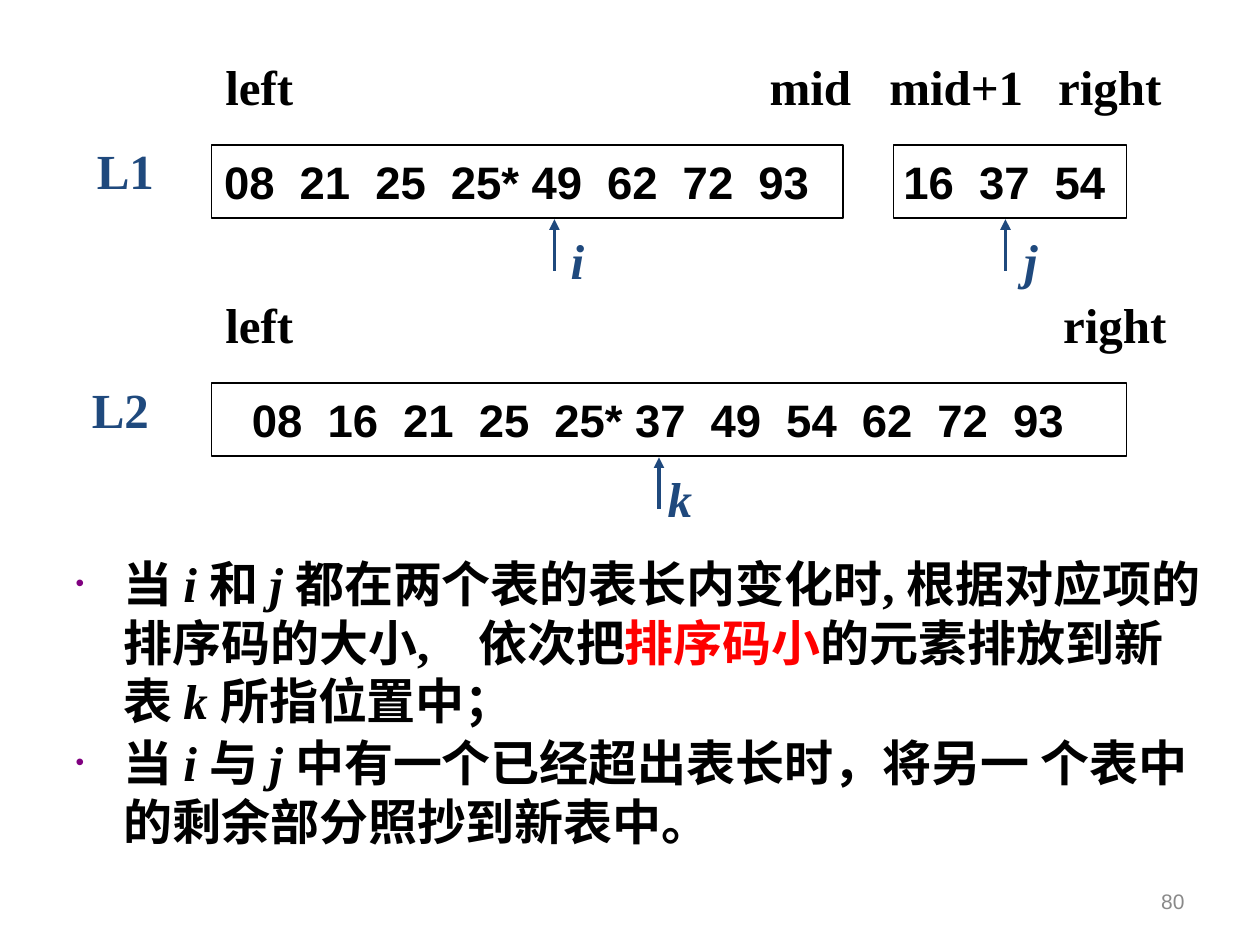
from dataclasses import dataclass

from pptx import Presentation
from pptx.dml.color import RGBColor
from pptx.enum import shapes, text
from pptx.oxml import ns, xmlchemy
from pptx.util import Inches, Pt


@dataclass(frozen=True)
class Theme:
    ink: str = "000000"
    blue: str = "1F497D"
    red: str = "FF0000"
    bullet: str = "800080"
    grey: str = "898989"
    paper: str = "FFFFFF"
    serif: str = "Times New Roman"
    sans: str = "Arial"
    text_size: float = 28
    value_size: float = 26
    number_size: float = 12


@dataclass(frozen=True)
class Label:
    wording: str
    left: float
    top: float
    width: float
    color: str
    italic: bool = False


@dataclass(frozen=True)
class ListBox:
    values: tuple[str, ...]
    left: float
    top: float
    width: float
    inset: float


@dataclass(frozen=True)
class Pointer:
    x: float
    tip: float


@dataclass(frozen=True)
class Part:
    wording: str
    italic: bool = False
    color: str = Theme.ink


THEME = Theme()
BOX_HEIGHT = 0.58
VALUE_PITCH = 0.6
STAR_EXTRA = 0.04

LABELS = [
    Label("left", 1.69, 0.4, 0.8, THEME.ink),
    Label("mid", 6.01, 0.4, 0.85, THEME.ink),
    Label("mid+1", 6.96, 0.4, 1.27, THEME.ink),
    Label("right", 8.3, 0.4, 1.03, THEME.ink),
    Label("L1", 0.67, 1.07, 0.65, THEME.blue),
    Label("i", 4.43, 1.78, 0.4, THEME.blue, True),
    Label("j", 8.03, 1.78, 0.4, THEME.blue, True),
    Label("left", 1.69, 2.29, 0.8, THEME.ink),
    Label("right", 8.34, 2.29, 1.03, THEME.ink),
    Label("L2", 0.63, 2.96, 0.65, THEME.blue),
    Label("k", 5.2, 3.67, 0.39, THEME.blue, True),
]
LISTS = [
    ListBox(("08", "21", "25", "25*", "49", "62", "72", "93"), 1.68, 1.15, 5.01, 0.1),
    ListBox(("16", "37", "54"), 7.09, 1.15, 1.85, 0.08),
    ListBox(("08", "16", "21", "25", "25*", "37", "49", "54", "62", "72", "93"),
            1.68, 3.04, 7.26, 0.32),
]
POINTERS = [Pointer(4.4, 1.74), Pointer(7.98, 1.74), Pointer(5.23, 3.63)]
RULES = [
    [Part("当 "), Part("i ", True), Part("和 "), Part("j ", True),
     Part("都在两个表的表长内变化时, 根据对应项的排序码的大小,　依次把"),
     Part("排序码小", color=THEME.red), Part("的元素排放到新表 "),
     Part("k ", True), Part("所指位置中；")],
    [Part("当 "), Part("i ", True), Part("与 "), Part("j ", True),
     Part("中有一个已经超出表长时，将另一 个表中的剩余部分照抄到新表中。")],
]


def add_span(para, wording: str, size: float, face: str, color: str,
             bold: bool = True, italic: bool = False) -> None:
    span = para.add_run()
    span.text = wording
    formats = {"size": Pt(size), "name": face, "bold": bold, "italic": italic}
    for name, value in formats.items():
        setattr(span.font, name, value)
    span.font.color.rgb = RGBColor.from_string(color)


def add_child(parent, tag: str, **attributes: str):
    child = xmlchemy.OxmlElement(tag)
    for name, value in attributes.items():
        child.set(name, value)
    parent.append(child)
    return child


def draw_label(page, label: Label) -> None:
    box = page.shapes.add_textbox(Inches(label.left), Inches(label.top),
                                  Inches(label.width), Inches(0.57))
    box.text_frame.word_wrap = False
    add_span(box.text_frame.paragraphs[0], label.wording, THEME.text_size,
             THEME.serif, label.color, italic=label.italic)


def draw_list(page, item: ListBox) -> None:
    box = page.shapes.add_shape(shapes.MSO_SHAPE.RECTANGLE, Inches(item.left),
                                Inches(item.top), Inches(item.width), Inches(BOX_HEIGHT))
    box.shadow.inherit = False
    box.fill.solid()
    box.fill.fore_color.rgb = RGBColor.from_string(THEME.paper)
    box.line.color.rgb = RGBColor.from_string(THEME.ink)
    box.line.width = Pt(0.75)
    formats = {"word_wrap": True, "margin_left": Inches(item.inset), "margin_right": 0,
               "vertical_anchor": text.MSO_ANCHOR.MIDDLE}
    for name, value in formats.items():
        setattr(box.text_frame, name, value)
    para = box.text_frame.paragraphs[0]
    para.alignment = text.PP_ALIGN.LEFT
    add_span(para, "\t".join(item.values), THEME.value_size, THEME.sans, THEME.ink)
    stops = add_child(para._p.get_or_add_pPr(), "a:tabLst")
    for index in range(1, len(item.values)):
        starred = any("*" in value for value in item.values[:index])
        position = index * VALUE_PITCH + STAR_EXTRA * starred
        add_child(stops, "a:tab", pos=str(Inches(position)), algn="l")


def draw_pointer(page, pointer: Pointer) -> None:
    arrow = page.shapes.add_connector(
        shapes.MSO_CONNECTOR.STRAIGHT, Inches(pointer.x), Inches(pointer.tip + 0.41),
        Inches(pointer.x), Inches(pointer.tip))
    arrow.line.color.rgb = RGBColor.from_string(THEME.blue)
    arrow.line.width = Pt(2)
    properties = arrow._element.spPr
    add_child(properties.find(ns.qn("a:ln")), "a:tailEnd", type="triangle")
    add_child(properties, "a:effectLst")


def draw_rules(body) -> None:
    place = {"left": 0.5, "top": 4.34, "width": 9.15, "height": 2.92}
    for name, value in place.items():
        setattr(body, name, Inches(value))
    frame = body.text_frame
    frame.auto_size = text.MSO_AUTO_SIZE.NONE
    for index, parts in enumerate(RULES):
        para = frame.add_paragraph() if index else frame.paragraphs[0]
        para.space_before = Pt(1.8)
        properties = para._p.get_or_add_pPr()
        properties.set("marL", str(Inches(0.38)))
        properties.set("indent", str(-Inches(0.38)))
        color = add_child(properties, "a:buClr")
        add_child(color, "a:srgbClr", val=THEME.bullet)
        add_child(properties, "a:buSzPct", val="50000")
        add_child(properties, "a:buChar", char="•")
        for part in parts:
            add_span(para, part.wording, THEME.text_size, THEME.serif,
                     part.color, italic=part.italic)


def draw_page_number(page, number: str) -> None:
    box = page.shapes.add_textbox(Inches(7.17), Inches(6.95), Inches(2.33), Inches(0.4))
    box.text_frame.word_wrap = True
    box.text_frame.vertical_anchor = text.MSO_ANCHOR.MIDDLE
    para = box.text_frame.paragraphs[0]
    para.alignment = text.PP_ALIGN.RIGHT
    add_span(para, number, THEME.number_size, THEME.sans, THEME.grey, bold=False)


def main() -> None:
    deck = Presentation()
    deck.slide_width, deck.slide_height = Inches(10), Inches(7.5)
    page = deck.slides.add_slide(deck.slide_layouts[1])
    title = page.shapes.title._element
    title.getparent().remove(title)
    draw_rules(page.placeholders[1])
    draw_page_number(page, "80")
    for item in LISTS:
        draw_list(page, item)
    for label in LABELS:
        draw_label(page, label)
    for pointer in POINTERS:
        draw_pointer(page, pointer)
    deck.save("out.pptx")


if __name__ == "__main__":
    main()
